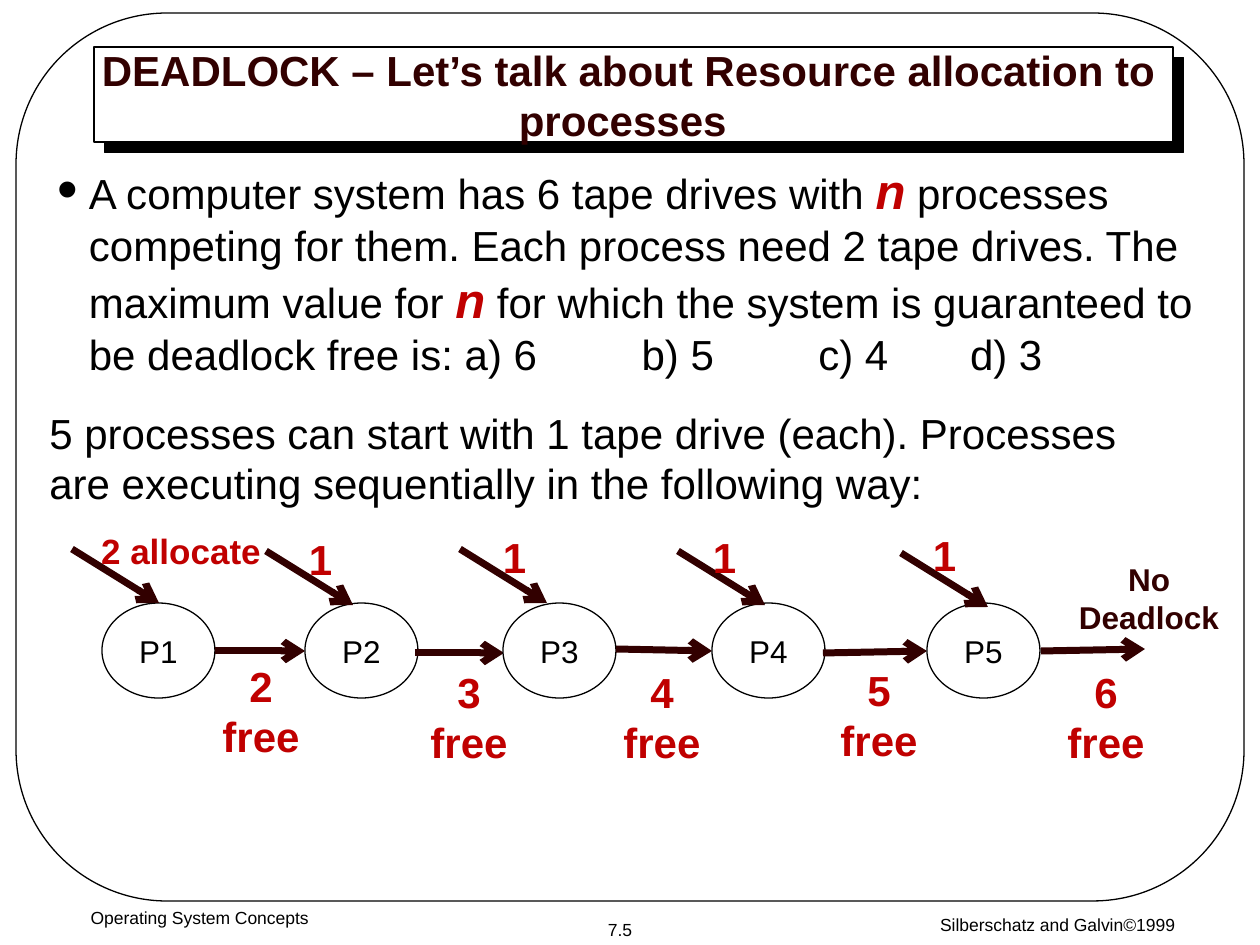
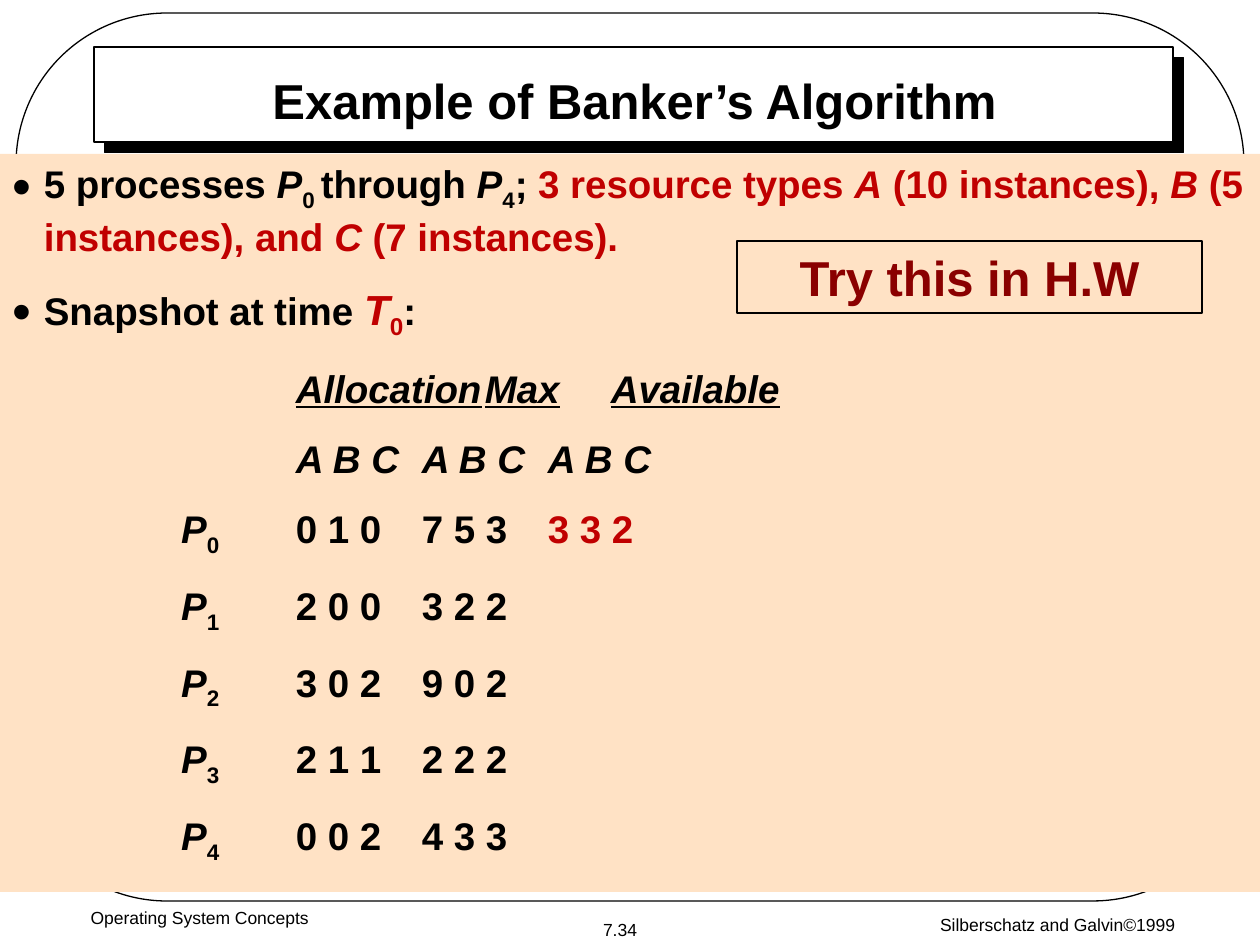
import dataclasses
import typing

import pptx
import pptx.dml.color
import pptx.enum.shapes
import pptx.enum.text
import pptx.oxml
import pptx.oxml.ns
import pptx.util
from lxml import etree

EMU_PER_PX = 914400 / 126
BLACK, WHITE, MAROON, RED, DARK_RED, PEACH = (
    "000000", "FFFFFF", "320000", "C00000", "8A0000", "FFE2C5")
SHAPE = pptx.enum.shapes.MSO_SHAPE
ALIGN = pptx.enum.text.PP_ALIGN
ANCHOR = pptx.enum.text.MSO_ANCHOR


class Box(typing.NamedTuple):
    left: int
    top: int
    width: int
    height: int


@dataclasses.dataclass(frozen=True)
class Style:
    size: int = 24
    color: str = BLACK
    bold: bool = False
    italic: bool = False
    underline: bool = False
    name: str = "Arial"

    def but(self, **changes) -> "Style":
        return dataclasses.replace(self, **changes)


class Span(typing.NamedTuple):
    text: str
    style: Style
    subscript: bool = False
    tracking: int = 0


@dataclasses.dataclass(frozen=True)
class Para:
    spans: list[Span]
    align: typing.Any = ALIGN.LEFT
    before: float = 0
    margin: float = 0
    indent: float = 0
    bullet: bool = False


@dataclasses.dataclass(frozen=True)
class Step:
    """One process: its allocation arrow, node, and the arrow that frees drives."""
    process: str
    node_left: int
    allocate_from: tuple[int, int]
    allocated: str
    allocated_box: Box
    allocated_size: int
    free_from: tuple[int, int]
    free_to: tuple[int, int]
    free: str
    free_at: tuple[int, int]


# Basic helpers
def px(length: float) -> int:
    return round(length * EMU_PER_PX)


def rgb(color: str) -> pptx.dml.color.RGBColor:
    return pptx.dml.color.RGBColor.from_string(color)


def place(box: Box) -> list[int]:
    return [px(length) for length in box]


def child(parent, tag: str, **attributes: str):
    element = etree.SubElement(parent, pptx.oxml.ns.qn(tag))
    for key, value in attributes.items():
        element.set(key, value)
    return element


def centered(text: str, style: Style) -> list[Para]:
    return [Para([Span(text, style)], ALIGN.CENTER)]


# Text
def apply_style(font, style: Style) -> None:
    font.name = style.name
    font.size = pptx.util.Pt(style.size)
    font.bold = style.bold
    font.italic = style.italic
    font.underline = style.underline
    font.color.rgb = rgb(style.color)


def add_bullet(paragraph) -> None:
    properties = paragraph._p.get_or_add_pPr()
    child(child(properties, "a:buClr"), "a:srgbClr", val=BLACK)
    child(properties, "a:buSzPct", val="140000")
    child(properties, "a:buFont", typeface="Arial")
    child(properties, "a:buChar", char="•")


def write(shape, paras: list[Para], anchor=ANCHOR.TOP, wrap: bool = True) -> None:
    frame = shape.text_frame
    frame.word_wrap = wrap
    frame.vertical_anchor = anchor
    for index, para in enumerate(paras):
        paragraph = frame.add_paragraph() if index else frame.paragraphs[0]
        paragraph.alignment = para.align
        properties = paragraph._p.get_or_add_pPr()
        properties.set("marL", str(pptx.util.Inches(para.margin)))
        properties.set("indent", str(pptx.util.Inches(para.indent)))
        if para.bullet:
            add_bullet(paragraph)
        paragraph.space_before = pptx.util.Pt(para.before)
        uniform = len({span.style for span in para.spans}) == 1
        if uniform:
            apply_style(paragraph.font, para.spans[0].style)
        for span in para.spans:
            run = paragraph.add_run()
            run.text = span.text
            if not uniform:
                apply_style(run.font, span.style)
            if span.subscript:
                run._r.get_or_add_rPr().set("baseline", "-25000")
            if span.tracking:
                run._r.get_or_add_rPr().set("spc", str(span.tracking * 100))


def add_text(slide, box: Box, paras: list[Para], anchor=ANCHOR.TOP,
             wrap: bool = True) -> None:
    write(slide.shapes.add_textbox(*place(box)), paras, anchor, wrap)


# Shapes and arrows
def add_outline(slide, kind, box: Box, fill: str | None = None,
                line: str | None = BLACK):
    shape = slide.shapes.add_shape(kind, *place(box))
    shape.shadow.inherit = False
    if fill:
        shape.fill.solid()
        shape.fill.fore_color.rgb = rgb(fill)
    else:
        shape.fill.background()
    if line:
        shape.line.color.rgb = rgb(line)
        shape.line.width = pptx.util.Pt(0.75)
    else:
        shape.line.fill.background()
    return shape


def add_arrow(slide, start: tuple[int, int], end: tuple[int, int]) -> None:
    arrow = slide.shapes.add_connector(
        pptx.enum.shapes.MSO_CONNECTOR.STRAIGHT, *map(px, start + end))
    arrow.line.color.rgb = rgb(MAROON)
    arrow.line.width = pptx.util.Pt(4)
    child(arrow.line._get_or_add_ln(), "a:tailEnd", type="arrow")
    child(arrow._element.spPr, "a:effectLst")


# Frame, title band and footers shared by the slides
def add_lecture_slide(deck, page: str, title: str, title_box: Box, title_style: Style):
    slide = deck.slides.add_slide(deck.slide_layouts[6])
    band = add_outline(slide, SHAPE.RECTANGLE, Box(94, 47, 1079, 95), WHITE)
    effects = band._element.spPr.find(pptx.oxml.ns.qn("a:effectLst"))
    shadow = child(effects, "a:outerShdw", dist=str(pptx.util.Pt(8.5)),
                   dir="2700000", algn="ctr", rotWithShape="0")
    child(shadow, "a:srgbClr", val=BLACK)

    footer = Style(size=10)
    credit = [Span("Silberschatz and Galvin©1999", footer),
              Span(" ", footer.but(size=14, name="Times New Roman"))]
    add_text(slide, Box(861, 901, 399, 44), [Para(credit, ALIGN.CENTER)])
    frame = add_outline(slide, SHAPE.ROUNDED_RECTANGLE, Box(16, 13, 1228, 888))
    frame.adjustments[0] = 0.17
    add_text(slide, Box(561, 912, 118, 34), centered(page, footer), ANCHOR.MIDDLE, False)
    add_text(slide, Box(0, 901, 399, 44), centered("Operating System Concepts", footer))
    add_text(slide, title_box, centered(title, title_style), ANCHOR.MIDDLE)
    return slide


# Slide 1: tape drives handed to processes
NODE_TOP, NODE_WIDTH, NODE_HEIGHT = 603, 113, 95
ALLOCATE_DX, ALLOCATE_DY = 87, 54
STEPS = [
    Step("P1", 102, (72, 549), "2 allocate", Box(71, 523, 220, 55), 20,
         (215, 651), (305, 651), "2 free", (205, 654)),
    Step("P2", 305, (266, 551), "1", Box(284, 527, 73, 63), 24,
         (415, 653), (504, 653), "3 free", (413, 660)),
    Step("P3", 503, (460, 549), "1", Box(478, 525, 73, 63), 24,
         (616, 649), (712, 651), "4 free", (606, 660)),
    Step("P4", 712, (678, 551), "1", Box(688, 525, 73, 63), 24,
         (823, 653), (927, 651), "5 free", (823, 658)),
    Step("P5", 927, (901, 553), "1", Box(908, 523, 73, 63), 24,
         (1041, 651), (1145, 649), "6 free", (1050, 660)),
]


def add_step(slide, step: Step) -> None:
    node = add_outline(slide, SHAPE.OVAL,
                       Box(step.node_left, NODE_TOP, NODE_WIDTH, NODE_HEIGHT), WHITE)
    write(node, centered(step.process, Style(size=18)), ANCHOR.MIDDLE, False)
    x, y = step.allocate_from
    add_arrow(slide, step.allocate_from, (x + ALLOCATE_DX, y + ALLOCATE_DY))
    add_arrow(slide, step.free_from, step.free_to)
    label = Style(color=RED, bold=True)
    add_text(slide, step.allocated_box,
             centered(step.allocated, label.but(size=step.allocated_size)))
    add_text(slide, Box(*step.free_at, 112, 113), centered(step.free, label))


def build_deadlock(deck) -> None:
    slide = add_lecture_slide(
        deck, "7.5", "DEADLOCK – Let’s talk about Resource allocation to processes ",
        Box(64, 44, 1129, 102), Style(color=MAROON, bold=True))
    plain = Style()
    count = Span("n", Style(28, RED, True, True))
    question = [
        Span("A computer system has 6 tape drives with ", plain), count,
        Span(" processes competing for them. Each process need 2 tape drives. "
             "The maximum value for ", plain), count,
        Span(" for which the system is guaranteed to be deadlock free is: a) 6", plain),
    ]
    # Each answer follows one widened space
    for answer, gap in (("b) 5", 53), ("c) 4", 53), ("d) 3", 40)):
        question += [Span(" ", plain, tracking=gap), Span(answer, plain)]
    add_text(slide, Box(45, 154, 1166, 233),
             [Para(question, before=15, margin=0.25, indent=-0.25, bullet=True)])
    add_text(slide, Box(37, 401, 1158, 113), [Para([Span(
        "5 processes can start with 1 tape drive (each). Processes are executing "
        "sequentially in the following way:", plain)])])
    for step in STEPS:
        add_step(slide, step)
    add_text(slide, Box(1050, 554, 198, 88),
             centered("No Deadlock", Style(18, MAROON, True)))


# Slide 2: snapshot for the Banker's Algorithm
SNAPSHOT = [("0 1 0", "7 5 3", "3 3 2"), ("2 0 0", "3 2 2"), ("3 0 2", "9 0 2"),
            ("2 1 1", "2 2 2"), ("0 0 2", "4 3 3")]


def build_banker(deck) -> None:
    slide = add_lecture_slide(deck, "7.34", "Example of Banker’s Algorithm",
                              Box(160, 68, 949, 63), Style(28, bold=True))
    bold = Style(22, bold=True)
    italic = bold.but(italic=True)
    heading = italic.but(underline=True)
    red = bold.but(color=RED)
    red_italic = red.but(italic=True)
    time = red.but(size=24)
    resources = [
        Span("5 processes ", bold), Span("P", italic), Span("0 ", bold, True),
        Span("through ", bold), Span("P", italic), Span("4", bold, True), Span("; ", bold),
        Span("3 resource types ", red), Span("A", red_italic),
        Span(" (10 instances), ", red), Span("B", red_italic),
        Span(" (5 instances), and ", red), Span("C", red_italic),
        Span(" (7 instances).", red),
    ]
    snapshot = [Span("Snapshot at time ", bold), Span("T", time.but(italic=True)),
                Span("0", time, True), Span(":", bold)]
    headings = [Span("Allocation", heading), Span("\t", italic), Span("Max", heading),
                Span("\t", italic), Span("Available", heading)]
    paras = [Para(spans, before=13.8, margin=0.25, indent=-0.25, bullet=True)
             for spans in (resources, snapshot)]
    paras += [Para(spans, before=13.8, margin=2.25)
              for spans in (headings, [Span("\t".join(["A B C"] * 3), italic)])]
    # Process names hang to the left of the value columns
    for number, (allocation, maximum, *available) in enumerate(SNAPSHOT):
        row = [Span("P", italic), Span(str(number), bold, True),
               Span(f"\t{allocation}\t{maximum}", bold)]
        row += [Span(f"\t{value}", red) for value in available]
        paras.append(Para(row, before=13.8, margin=2.25, indent=-0.91))
    body = add_outline(slide, SHAPE.RECTANGLE, Box(0, 154, 1260, 738), PEACH, None)
    write(body, paras)
    homework = add_outline(slide, SHAPE.RECTANGLE, Box(737, 241, 465, 72))
    write(homework, centered("Try this in H.W", Style(28, DARK_RED, True)))


def main() -> None:
    deck = pptx.Presentation()
    deck.slide_width, deck.slide_height = px(1260), px(945)
    build_deadlock(deck)
    build_banker(deck)
    deck.save("out.pptx")


if __name__ == "__main__":
    main()
